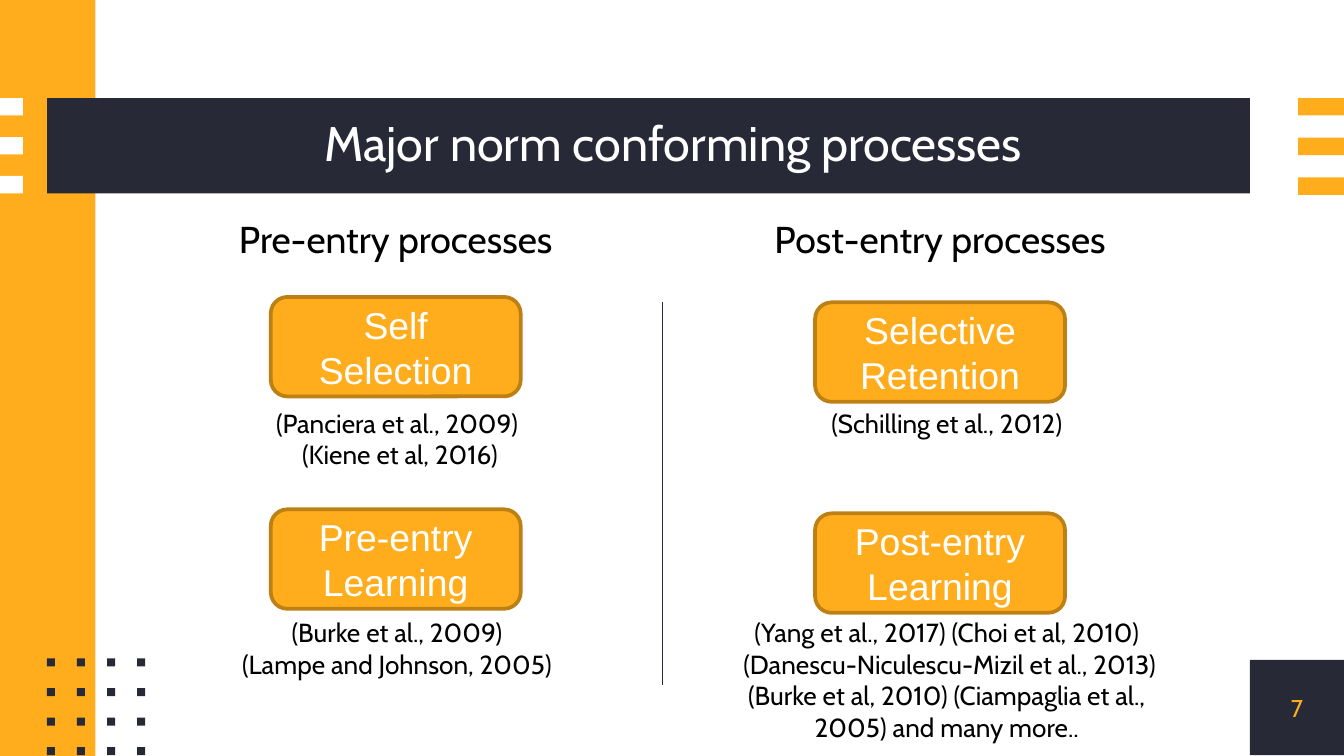
from dataclasses import dataclass
from itertools import product

from lxml import etree
from pptx import Presentation
from pptx import util as u
from pptx.dml.color import RGBColor
from pptx.enum import shapes, text
from pptx.oxml.ns import qn


@dataclass(frozen=True)
class Theme:
    dark: str = "272A36"
    amber: str = "FFAD1D"
    edge: str = "BD8015"
    white: str = "FFFFFF"
    black: str = "000000"
    font: str = "Cabin"
    card_font: str = "Arial"
    title: int = 26
    heading: int = 20
    cite: int = 14
    number: int = 13


THEME = Theme()
WIDTH = 10
HEIGHT = WIDTH * 9 / 16
RECTANGLE = shapes.MSO_SHAPE.RECTANGLE


@dataclass(frozen=True)
class Box:
    left: float
    top: float
    width: float
    height: float

    def lengths(self):
        return [u.Inches(n) for n in (self.left, self.top, self.width, self.height)]


def write(frame, lines, size, color, font=THEME.font, inset=None,
          anchor=text.MSO_ANCHOR.TOP, spacing=None):
    frame.word_wrap = True
    frame.vertical_anchor = anchor
    if inset is not None:
        frame.margin_left = frame.margin_right = u.Inches(inset)
        frame.margin_top = frame.margin_bottom = u.Inches(inset)
    for index, line in enumerate(lines):
        para = frame.add_paragraph() if index else frame.paragraphs[0]
        para.alignment = text.PP_ALIGN.CENTER
        para.line_spacing = spacing
        span = para.add_run()
        span.text = line
        span.font.name = font
        span.font.size = u.Pt(size)
        span.font.color.rgb = RGBColor.from_string(color)


def add_text(page, box, lines, size, color, **style):
    write(page.shapes.add_textbox(*box.lengths()).text_frame, lines, size, color, **style)


def add_block(page, box, fill, kind=RECTANGLE, edge=None):
    shape = page.shapes.add_shape(kind, *box.lengths())
    shape.shadow.inherit = False
    shape.fill.solid()
    shape.fill.fore_color.rgb = RGBColor.from_string(fill)
    if edge:
        shape.line.color.rgb = RGBColor.from_string(edge)
        shape.line.width = u.Pt(2)
    else:
        shape.line.fill.background()
    return shape


def add_stripes(page, box, fill):
    thickness = 0.13
    pitch = (box.height - thickness) / 2
    for row in range(3):
        add_block(page, Box(box.left, box.top + row * pitch, box.width, thickness), fill)


def add_dots(page, box):
    side = 0.06
    across, down = (box.width - side) / 3, (box.height - side) / 3
    for row, column in product(range(4), repeat=2):
        add_block(page, Box(box.left + column * across, box.top + row * down, side, side),
                  THEME.dark)


def add_title(page, box, title):
    add_block(page, box, THEME.dark)
    inset = 0.37
    label = Box(box.left + inset, box.top, box.width - inset, box.height)
    add_text(page, label, [title], THEME.title, THEME.white, inset=0,
             anchor=text.MSO_ANCHOR.MIDDLE, spacing=0.9)


def add_page_number(page, box, number):
    add_block(page, box, THEME.dark)
    add_text(page, box, [number], THEME.number, THEME.amber, inset=0,
             anchor=text.MSO_ANCHOR.MIDDLE)


def add_divider(page, box):
    line = page.shapes.add_connector(
        shapes.MSO_CONNECTOR.STRAIGHT, u.Inches(box.left), u.Inches(box.top),
        u.Inches(box.left + box.width), u.Inches(box.top + box.height))
    line.line.color.rgb = RGBColor.from_string(THEME.dark)
    line.line.width = u.Pt(0.75)
    etree.SubElement(line._element.spPr, qn("a:effectLst"))


def add_column(page, box, heading, processes, card_top, card_pitch, cite_width, cite_shift):
    add_text(page, Box(box.left, box.top, box.width, 0.44), [heading],
             THEME.heading, THEME.black)
    card_width, card_height, cite_top, cite_pitch = 1.86, 0.74, 1.42, 1.56
    card_left = box.left + (box.width - card_width) / 2
    cite_left = box.left + (box.width - cite_width) / 2 + cite_shift
    for row, (process, citations) in enumerate(processes):
        top = box.top + card_top + row * card_pitch
        card = add_block(page, Box(card_left, top, card_width, card_height),
                         THEME.amber, shapes.MSO_SHAPE.ROUNDED_RECTANGLE, THEME.edge)
        write(card.text_frame, [process], THEME.heading, THEME.white,
              font=THEME.card_font, anchor=text.MSO_ANCHOR.MIDDLE)
        lines = len(citations) + (len(citations) > 2)
        cite_box = Box(cite_left, box.top + cite_top + row * cite_pitch,
                       cite_width, 0.1 + 0.23 * lines)
        add_text(page, cite_box, citations, THEME.cite, THEME.black)


def add_background(page, box):
    add_block(page, Box(box.left, box.top, 0.71, box.height), THEME.amber)
    add_stripes(page, Box(box.left, box.top + 0.73, 0.17, 0.71), THEME.white)
    add_stripes(page, Box(box.left + box.width - 0.34, box.top + 0.73, 0.34, 0.72),
                THEME.amber)
    add_dots(page, Box(box.left + 0.35, box.top + 4.9, 0.73, 0.72))


def main():
    deck = Presentation()
    deck.slide_width, deck.slide_height = u.Inches(WIDTH), u.Inches(HEIGHT)
    page = deck.slides.add_slide(deck.slide_layouts[6])
    add_background(page, Box(0, 0, WIDTH, HEIGHT))
    add_title(page, Box(0.35, 0.73, 8.95, 0.71), "Major norm conforming processes")
    add_page_number(page, Box(9.3, 4.91, 0.7, 0.71), "7")
    add_divider(page, Box(4.93, 2.25, 0, 2.85))
    add_column(page, Box(1.52, 1.56, 2.85, 3.55), "Pre-entry processes", [
        ("Self Selection", ["(Panciera et al., 2009)", " (Kiene et al, 2016)"]),
        ("Pre-entry Learning", ["(Burke et al., 2009)", "(Lampe and Johnson, 2005)"]),
    ], card_top=0.65, card_pitch=1.58, cite_width=2.99, cite_shift=0.01)
    add_column(page, Box(5.57, 1.56, 2.85, 4.02), "Post-entry processes", [
        ("Selective Retention", ["(Schilling et al., 2012)"]),
        ("Post-entry Learning", [
            "(Yang et al., 2017) (Choi et al, 2010)",
            " (Danescu-Niculescu-Mizil et al., 2013) ",
            "(Burke et al, 2010) (Ciampaglia et al., 2005) and many more..",
        ]),
    ], card_top=0.69, card_pitch=1.57, cite_width=3.35, cite_shift=0.05)
    deck.save("out.pptx")


if __name__ == "__main__":
    main()
